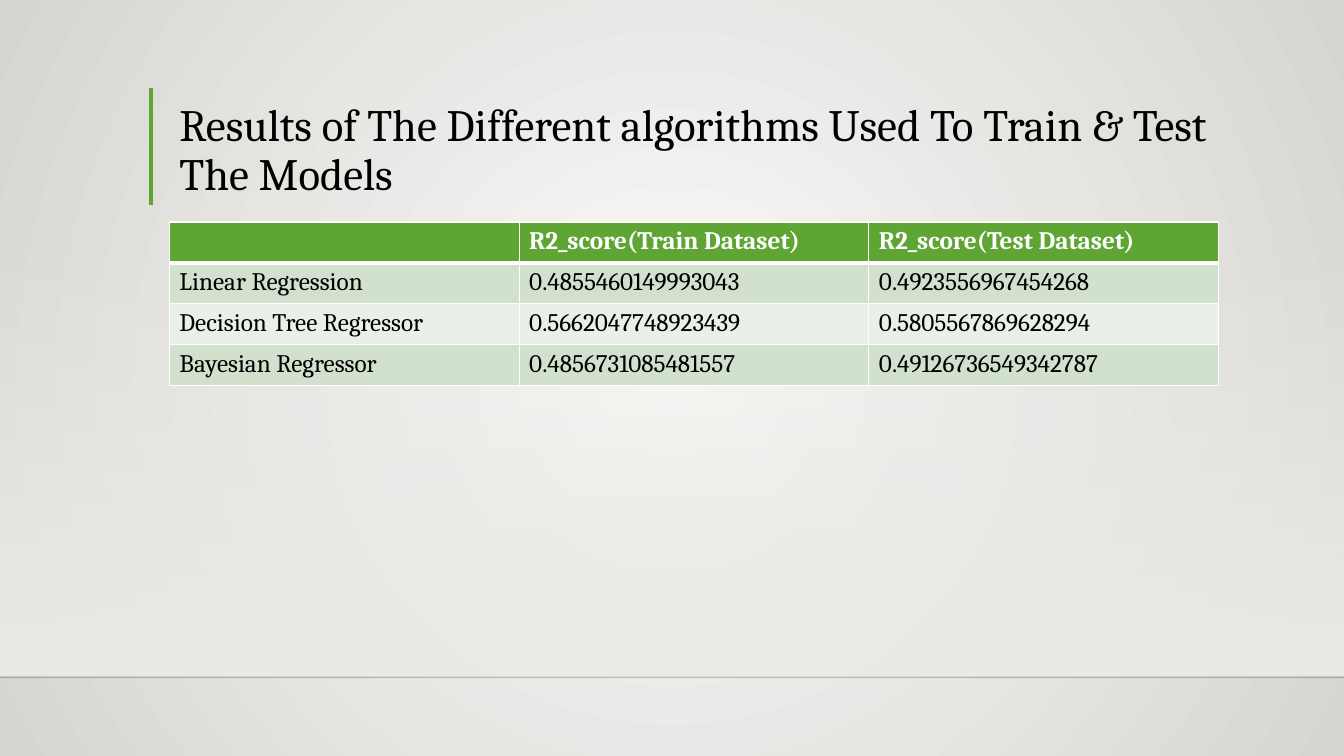
from lxml import etree
from pptx import Presentation
from pptx.dml.color import RGBColor
from pptx.enum import shapes, text
from pptx.oxml.ns import qn
from pptx.util import Pt

FONT = "Cambria"
GREEN, BLACK, WHITE = "5FA534", "000000", "FFFFFF"
BANDS = ["D2E1CE", "EAF0E8"]
SLIDE_W, SLIDE_H = 960, 540

TITLE = "Results of The Different algorithms Used To Train & Test The Models"
SCORES = [
    ["", "R2_score(Train Dataset)", "R2_score(Test Dataset)"],
    ["Linear Regression", "0.4855460149993043", "0.4923556967454268"],
    ["Decision Tree Regressor", "0.5662047748923439", "0.5805567869628294"],
    ["Bayesian Regressor", "0.4856731085481557", "0.49126736549342787"],
]


def rgb(value):
    """Turn a hex string into a colour."""
    return RGBColor.from_string(value)


def set_alpha(color_element, percent):
    """Set the opacity of a colour element."""
    etree.SubElement(color_element, qn("a:alpha"), val=str(percent * 1000))


def set_gradient(fill, start, end):
    """Give a fill a gradient of two colours."""
    fill.gradient()
    for stop, position, value in zip(fill.gradient_stops, (0, 1), (start, end)):
        stop.position = position
        stop.color.rgb = rgb(value)


def add_rule(slide, start, end, color, width):
    """Draw a line without shadow between two points."""
    rule = slide.shapes.add_connector(
        shapes.MSO_CONNECTOR.STRAIGHT, *map(Pt, (*start, *end)))
    rule.line.color.rgb = rgb(color)
    rule.line.width = Pt(width)
    etree.SubElement(rule._element.spPr, qn("a:effectLst"))
    return rule


def style_font(paragraph, size, color, bold=False):
    """Format all runs of a paragraph."""
    for run in paragraph.runs:
        run.font.name = FONT
        run.font.size = Pt(size)
        run.font.bold = bold
        run.font.color.rgb = rgb(color)


def add_backdrop(slide, left, top, width, height):
    """Paint the radial background, the floor glow and the floor line."""
    set_gradient(slide.background.fill, "FAFAF9", "D7D5D2")
    radial = slide.element.find(".//" + qn("a:gradFill"))
    radial.remove(radial.find(qn("a:lin")))
    circle = etree.SubElement(radial, qn("a:path"), {"path": "circle"})
    etree.SubElement(circle, qn("a:fillToRect"), dict.fromkeys("ltrb", "50000"))

    glow = slide.shapes.add_shape(
        shapes.MSO_SHAPE.RECTANGLE, *map(Pt, (left, top, width, height)))
    glow.shadow.inherit = False
    glow.line.fill.background()
    set_gradient(glow.fill, "EDEBE7", "EDEBE7")
    glow.fill.gradient_angle = 270
    set_alpha(glow._element.find(".//" + qn("a:srgbClr")), 0)

    floor_y = top + height + 1.5
    floor = add_rule(slide, (left, floor_y), (left + width, floor_y), "000001", 1)
    set_alpha(floor._element.find(".//" + qn("a:srgbClr")), 20)


def add_title(slide, left, top, width, height):
    """Write the title with the green bar to its left."""
    bar_x = left - 13
    add_rule(slide, (bar_x, top - 0.5), (bar_x, top + height + 0.5), GREEN, 3)
    title = slide.shapes.add_textbox(*map(Pt, (left, top, width, height)))
    frame = title.text_frame
    frame.word_wrap = True
    frame.vertical_anchor = text.MSO_ANCHOR.BOTTOM
    frame.text = TITLE
    frame.paragraphs[0].line_spacing = 0.9
    style_font(frame.paragraphs[0], 32, BLACK)


def add_borders(cell, widths):
    """Draw white borders, with widths given by side."""
    properties = cell._tc.get_or_add_tcPr()
    for side, width in widths.items():
        border = etree.SubElement(properties, qn("a:ln" + side), w=str(Pt(width)))
        solid = etree.SubElement(border, qn("a:solidFill"))
        etree.SubElement(solid, qn("a:srgbClr"), val=WHITE)


def add_scores(slide, left, top, width, height):
    """Build the table of scores by algorithm and dataset."""
    table = slide.shapes.add_table(
        len(SCORES), len(SCORES[0]), *map(Pt, (left, top, width, height))).table
    for r, row in enumerate(SCORES):
        header = r == 0
        for c, score in enumerate(row):
            cell = table.cell(r, c)
            add_borders(cell, {"L": 1, "R": 1, "T": 3 if r == 1 else 1,
                               "B": 3 if header else 1})
            cell.fill.solid()
            cell.fill.fore_color.rgb = rgb(GREEN if header else BANDS[(r - 1) % 2])
            cell.text_frame.text = score
            style_font(cell.text_frame.paragraphs[0], 18,
                       WHITE if header else BLACK, header)


def main():
    """Build the slide and save it."""
    deck = Presentation()
    deck.slide_width, deck.slide_height = Pt(SLIDE_W), Pt(SLIDE_H)
    slide = deck.slides.add_slide(deck.slide_layouts[6])
    add_backdrop(slide, 0, 158.4, SLIDE_W, 324)
    add_title(slide, 121, 63.2, 749.5, 83)
    add_scores(slide, 121, 158.6, 749.5, 116.8)
    deck.save("out.pptx")


main()
